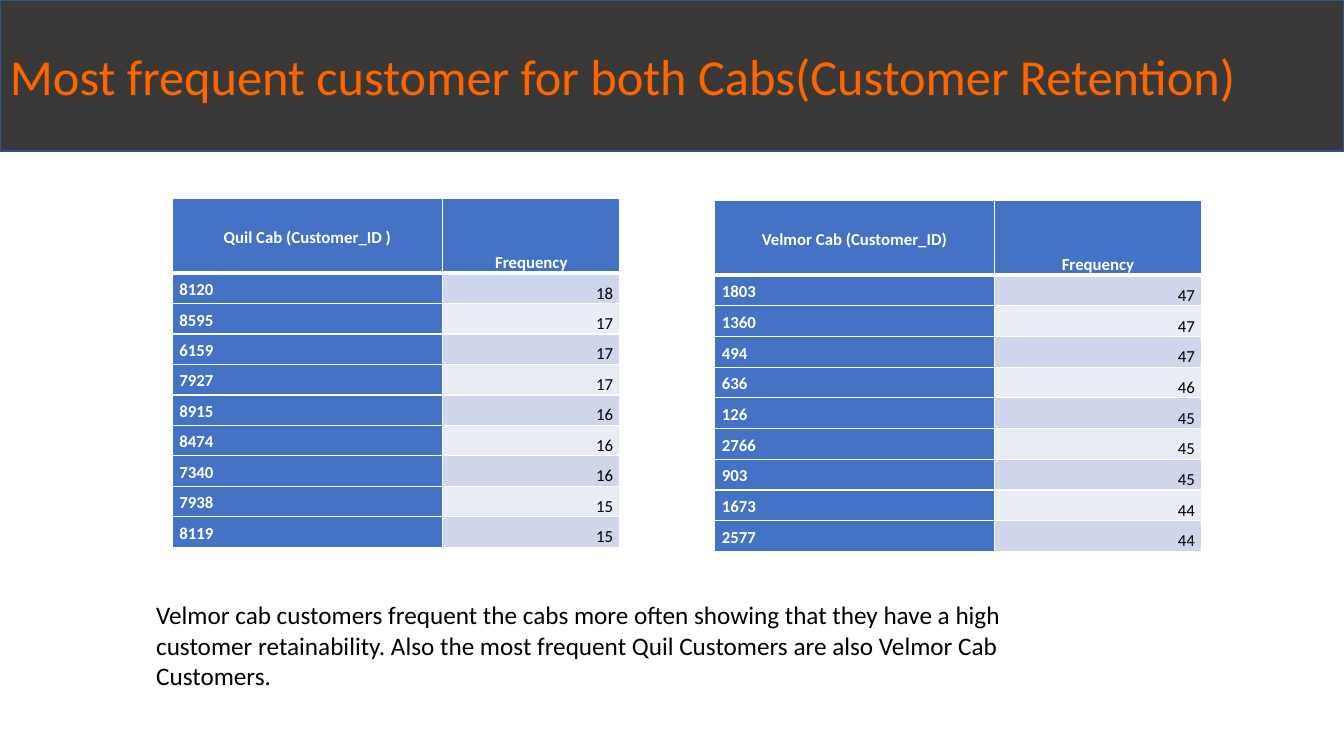
"""Build the customer retention slide."""
from dataclasses import dataclass

from lxml import etree
from pptx import Presentation
from pptx import util as u
from pptx.dml import color
from pptx.enum import shapes, text
from pptx.oxml import ns


@dataclass(frozen=True)
class Theme:
    """Hold the colours, font and type sizes of the deck."""
    font: str = "Calibri"
    title_size: int = 36
    body_size: int = 18
    table_size: int = 12
    band: str = "3B3838"
    band_line: str = "325491"
    title: str = "FF6600"
    ink: str = "000000"
    white: str = "FFFFFF"
    accent: str = "4472C4"
    stripes: tuple = ("CFD5EA", "E9EBF5")


THEME = Theme()
HEADER_HEIGHT = 0.74
TITLE = "Most frequent customer for both Cabs(Customer Retention)"
SUMMARY = (
    "Velmor cab customers frequent the cabs more often showing that they have "
    "a high customer retainability. Also the most frequent Quil Customers are "
    "also Velmor Cab Customers."
)
VELMOR_CAB = [
    ("Velmor Cab (Customer_ID)", "Frequency"),
    (1803, 47), (1360, 47), (494, 47), (636, 46), (126, 45),
    (2766, 45), (903, 45), (1673, 44), (2577, 44),
]
QUIL_CAB = [
    ("Quil Cab (Customer_ID )", "Frequency"),
    (8120, 18), (8595, 17), (6159, 17), (7927, 17), (8915, 16),
    (8474, 16), (7340, 16), (7938, 15), (8119, 15),
]


def apply(target, formats):
    """Set every attribute named in a dict of format values."""
    for name, value in formats.items():
        setattr(target, name, value)


def rgb(value):
    """Turn a hex string into a colour."""
    return color.RGBColor.from_string(value)


def write(frame, words, size, ink, bold=False, **para_formats):
    """Write one formatted paragraph into a text frame."""
    para = frame.paragraphs[0]
    apply(para, para_formats)
    span = para.add_run()
    span.text = words
    apply(span.font, {"name": THEME.font, "size": u.Pt(size), "bold": bold})
    span.font.color.rgb = rgb(ink)


def add_border(cell, side, width):
    """Draw a white line on one side of a table cell."""
    line = etree.SubElement(cell._tc.get_or_add_tcPr(), ns.qn(f"a:{side}"),
                            w=str(u.Pt(width)))
    fill = etree.SubElement(line, ns.qn("a:solidFill"))
    etree.SubElement(fill, ns.qn("a:srgbClr"), val=THEME.white)


def style_cell(cell, words, row, column):
    """Format a cell by its place in the table."""
    header, key = row == 0, column == 0
    apply(cell, {
        "margin_left": u.Inches(0.07), "margin_right": u.Inches(0.07),
        "margin_top": 0, "margin_bottom": 0,
        "vertical_anchor": text.MSO_ANCHOR.MIDDLE if key else text.MSO_ANCHOR.BOTTOM,
    })
    widths = {"lnL": 1, "lnR": 1, "lnT": 3 if row == 1 else 1,
              "lnB": 3 if header else 1}
    for side, width in widths.items():
        add_border(cell, side, width)
    strong = header or key
    cell.fill.solid()
    cell.fill.fore_color.rgb = rgb(
        THEME.accent if strong else THEME.stripes[(row - 1) % 2])
    body_align = text.PP_ALIGN.LEFT if key else text.PP_ALIGN.RIGHT
    write(cell.text_frame, str(words), THEME.table_size,
          THEME.white if strong else THEME.ink, strong,
          alignment=text.PP_ALIGN.CENTER if header else body_align,
          line_spacing=1.15)


def add_cab_table(page, box, key_width, rows):
    """Place a customer frequency table in the given box."""
    left, top, width, height = box
    table = page.shapes.add_table(len(rows), 2, *map(u.Inches, box)).table
    apply(table, {"first_col": True, "horz_banding": True})
    for column, size in zip(table.columns, (key_width, width - key_width)):
        column.width = u.Inches(size)
    row_height = (height - HEADER_HEIGHT) / (len(rows) - 1)
    for index, values in enumerate(rows):
        table.rows[index].height = u.Inches(row_height if index else HEADER_HEIGHT)
        for column, words in enumerate(values):
            style_cell(table.cell(index, column), words, index, column)


def add_title_band(page, box):
    """Place the dark title band in the given box."""
    band = page.shapes.add_shape(shapes.MSO_SHAPE.RECTANGLE, *map(u.Inches, box))
    band.shadow.inherit = False
    band.fill.solid()
    band.fill.fore_color.rgb = rgb(THEME.band)
    band.line.color.rgb = rgb(THEME.band_line)
    band.line.width = u.Pt(1)
    apply(band.text_frame, {"word_wrap": True,
                            "vertical_anchor": text.MSO_ANCHOR.MIDDLE})
    write(band.text_frame, TITLE, THEME.title_size, THEME.title,
          alignment=text.PP_ALIGN.LEFT)


def add_summary(page, box):
    """Place the closing remark in the given box."""
    frame = page.shapes.add_textbox(*map(u.Inches, box)).text_frame
    apply(frame, {"word_wrap": True,
                  "auto_size": text.MSO_AUTO_SIZE.SHAPE_TO_FIT_TEXT})
    write(frame, SUMMARY, THEME.body_size, THEME.ink)


def main():
    """Build and save the deck."""
    deck = Presentation()
    apply(deck, {"slide_width": u.Inches(13.33), "slide_height": u.Inches(7.5)})
    page = deck.slides.add_slide(deck.slide_layouts[6])
    add_summary(page, (1.45, 5.9, 9.39, 1.01))
    add_cab_table(page, (7.09, 1.99, 4.83, 3.48), 2.77, VELMOR_CAB)
    add_cab_table(page, (1.71, 1.97, 4.44, 3.46), 2.68, QUIL_CAB)
    add_title_band(page, (0, 0, 13.33, 1.5))
    deck.save("out.pptx")


if __name__ == "__main__":
    main()
